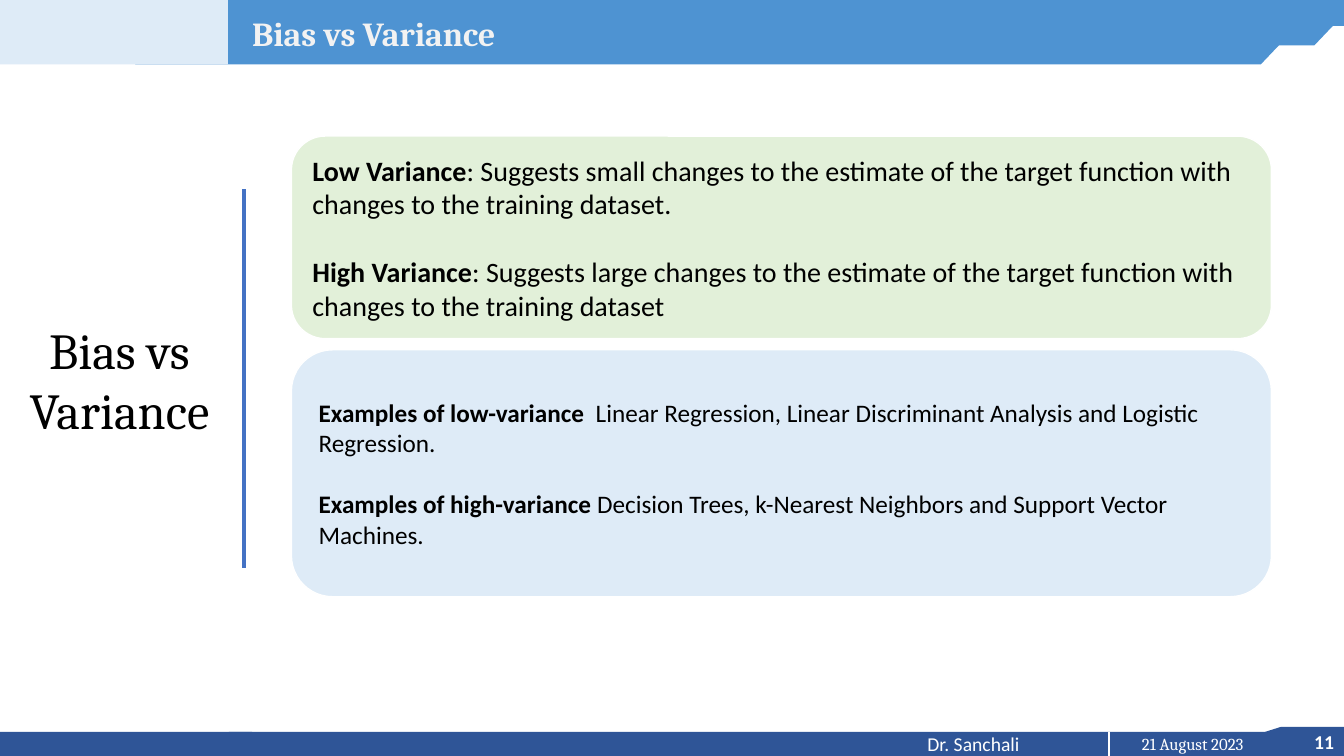
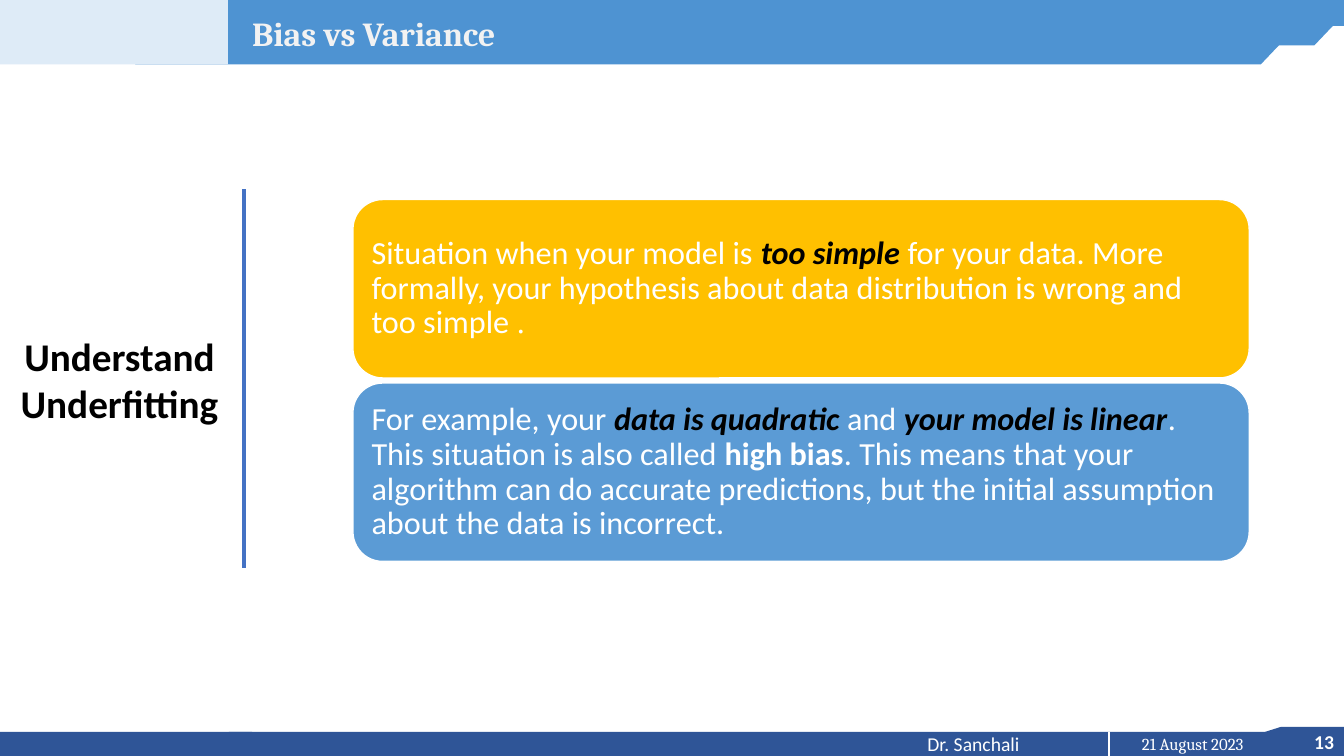
from lxml import etree
from pptx import Presentation
from pptx.dml.color import RGBColor
from pptx.enum.shapes import MSO_CONNECTOR, MSO_SHAPE
from pptx.enum.text import MSO_ANCHOR, MSO_AUTO_SIZE, PP_ALIGN
from pptx.oxml.ns import qn
from pptx.util import Inches, Pt

LEFT, MID, RIGHT = PP_ALIGN.LEFT, PP_ALIGN.CENTER, PP_ALIGN.RIGHT
RECT, ROUND = MSO_SHAPE.RECTANGLE, MSO_SHAPE.ROUNDED_RECTANGLE
SLANT, CARD = MSO_SHAPE.PARALLELOGRAM, MSO_SHAPE.FLOWCHART_CARD
TOP, CENTER = MSO_ANCHOR.TOP, MSO_ANCHOR.MIDDLE
NO_FIT, STRAIGHT = MSO_AUTO_SIZE.NONE, MSO_CONNECTOR.STRAIGHT

W, H = 13.33, 7.5

THEME = {
    "navy": "2F5597", "band": "4E93D2", "pale": "DEEBF7", "rule": "4472C4",
    "green": "E2F0D9", "gold": "FFC000", "blue": "5B9BD5",
    "white": "FFFFFF", "ink": "000000", "title": "F2F2F2",
    "sans": "Calibri", "serif": "Cambria", "dot": "Times New Roman",
    "small": 12, "foot": 14, "head": 24,
}

# Run styles inside cards
PLAIN = {}
BOLD = {"bold": True}
KEY = {"bold": True, "italic": True, "color": "ink"}
DOT = {"name": "dot"}

# Content: cards hold paragraphs, paragraphs hold (text, style) runs
TITLE = "Bias vs Variance"
SLIDES = [
    {
        "num": "11",
        "side": ("Bias vs Variance", {"size": 36, "name": "serif"}),
        "cards": [
            {"at": (2.89, 1.35, 9.72, 2.01), "fill": "green", "pad": (0.11, 0.1),
             "font": {"size": 20, "color": "ink"}, "gap": 24.4, "paras": [
                [("Low Variance", BOLD),
                 (": Suggests small changes to the estimate of the target "
                  "function with changes to the training dataset.", PLAIN)],
                [("High Variance", BOLD),
                 (": Suggests large changes to the estimate of the target "
                  "function with changes to the training dataset", PLAIN)]]},
            {"at": (2.89, 3.47, 9.72, 2.45), "fill": "pale", "pad": (0.15, 0),
             "font": {"size": 18, "color": "ink"}, "gap": 22, "paras": [
                [("Examples of low-variance", BOLD),
                 ("  Linear Regression, Linear Discriminant Analysis and "
                  "Logistic Regression.", PLAIN)],
                [("Examples of high-variance", BOLD),
                 (" Decision Trees, k-Nearest Neighbors and "
                  "Support Vector Machines.", PLAIN)]]},
        ],
    },
    {
        "num": "13",
        "side": ("Understand Underfitting", {"size": 28, "bold": True}),
        "cards": [
            {"at": (3.5, 1.98, 8.89, 1.77), "fill": "gold", "pad": (0.1, 0.09),
             "font": {"size": 23, "color": "white"}, "space": 0.9, "paras": [
                [("Situation when your model is ", PLAIN), ("too simple ", KEY),
                 ("for your data. More formally, your hypothesis about data "
                  "distribution is wrong and too simple ", PLAIN), (".", DOT)]]},
            {"at": (3.5, 3.8, 8.89, 1.77), "fill": "blue", "pad": (0.1, 0.09),
             "font": {"size": 23, "color": "white"}, "space": 0.9, "paras": [
                [("For example, your ", PLAIN), ("data is quadratic ", KEY),
                 ("and ", PLAIN), ("your model is linear", KEY),
                 (". This situation is also called ", PLAIN),
                 ("high bias", BOLD),
                 (". This means that your algorithm can do accurate "
                  "predictions, but the initial assumption about the data "
                  "is incorrect.", PLAIN)]]},
        ],
    },
]

# Shared bands: shape, place, fill, slant
BANDS = [
    (CARD, (12.55, 7.21, 0.79, 0.25), "navy", None),
    (RECT, (-0.01, 7.26, 2.51, 0.26), "navy", None),
    (RECT, (2.27, 7.26, 11.07, 0.24), "navy", None),
    (SLANT, (1.82, -0.01, 11.53, 0.27), "band", 0),
    (SLANT, (1.93, 0.11, 11.43, 0.34), "band", 0.95),
    (SLANT, (1.34, 0.36, 11.43, 0.28), "band", 0.95),
    (RECT, (0, -0.01, 2.26, 0.65), "pale", None),
]
# Rules: x, top, bottom, colour, weight
RULES = [(11, 7.26, 7.51, "white", 1.5), (2.42, 1.88, 5.64, "rule", 2.25)]
# Footer: text, place, alignment, font
FOOT = [
    ("21 August 2023", (11, 7.23, 1.66, 0.3), MID,
     {"size": THEME["small"], "name": "serif", "color": "white"}),
    ("Dr. Sanchali", (9.1, 7.21, 1.3, 0.34), LEFT,
     {"size": THEME["foot"], "color": "white"}),
]
NUM_FONT = {"size": THEME["foot"], "color": "white", "bold": True}
HEAD_FONT = {"size": THEME["head"], "name": "serif", "color": "title",
             "bold": True}


def rgb(name):
    return RGBColor.from_string(THEME[name])


def inch(at):
    return [Inches(v) for v in at]


def add_run(para, text, style):
    look = {"name": "sans", "color": "ink", "bold": False, "italic": False,
            **style}
    run = para.add_run()
    run.text = text
    run.font.color.rgb = rgb(look.pop("color"))
    look["name"] = THEME[look["name"]]
    look["size"] = Pt(look["size"])
    for key, val in look.items():
        setattr(run.font, key, val)


def add_text(slide, text, at, align, style, anchor=TOP):
    frame = slide.shapes.add_textbox(*inch(at)).text_frame
    frame.word_wrap = True
    frame.vertical_anchor = anchor
    para = frame.paragraphs[0]
    para.alignment = align
    add_run(para, text, style)


def add_box(slide, kind, at, fill, edge=None):
    box = slide.shapes.add_shape(kind, *inch(at))
    box.shadow.inherit = False
    box.fill.solid()
    box.fill.fore_color.rgb = rgb(fill)
    if edge:
        box.line.color.rgb = rgb(edge)
        box.line.width = Pt(1)
    else:
        box.line.fill.background()
    return box


def add_rule(slide, x, top, end, color, width):
    rule = slide.shapes.add_connector(STRAIGHT, *inch((x, top, x, end)))
    rule.line.color.rgb = rgb(color)
    rule.line.width = Pt(width)
    etree.SubElement(rule.element.spPr, qn("a:effectLst"))


def add_card(slide, card):
    box = add_box(slide, ROUND, card["at"], card["fill"], "white")
    frame = box.text_frame
    left, right = inch(card["pad"])
    form = {"word_wrap": True, "vertical_anchor": CENTER, "margin_left": left,
            "margin_right": right, "margin_top": 0, "margin_bottom": 0}
    for key, val in form.items():
        setattr(frame, key, val)
    for i, runs in enumerate(card["paras"]):
        para = frame.add_paragraph() if i else frame.paragraphs[0]
        para.alignment = LEFT
        para.line_spacing = card.get("space", 1.0)
        if i:
            para.space_before = Pt(card["gap"])
        for text, style in runs:
            add_run(para, text, {**card["font"], **style})


def set_layout(layout, slide):
    """Draw the shared frame and keep it in the layout, behind its title."""
    head = layout.placeholders[0]
    for spot in list(layout.placeholders)[1:]:
        spot.element.getparent().remove(spot.element)
    for key, val in zip(("left", "top", "width", "height"),
                        inch((2.4, 0.08, 10.52, 0.5))):
        setattr(head, key, val)
    head.text_frame.vertical_anchor = CENTER
    head.text_frame.auto_size = NO_FIT

    for kind, at, fill, slant in BANDS:
        band = add_box(slide, kind, at, fill)
        if slant is not None:
            band.adjustments[0] = slant
    for rule in RULES:
        add_rule(slide, *rule)
    for text, at, align, style in FOOT:
        add_text(slide, text, at, align, style)
    for part in list(slide.shapes):
        if not part.is_placeholder:
            head.element.addprevious(part.element)


def main():
    deck = Presentation()
    deck.slide_width, deck.slide_height = inch((W, H))
    layout = deck.slide_layouts[5]
    for i, data in enumerate(SLIDES):
        slide = deck.slides.add_slide(layout)
        if i == 0:
            set_layout(layout, slide)
        para = slide.shapes.title.text_frame.paragraphs[0]
        para.alignment = LEFT
        add_run(para, TITLE, HEAD_FONT)
        text, style = data["side"]
        add_text(slide, text, (0.1, 0.71, 2.17, 6.11), MID, style, CENTER)
        for card in data["cards"]:
            add_card(slide, card)
        add_text(slide, data["num"], (12.43, 7.19, 0.9, 0.34), RIGHT, NUM_FONT)
    deck.save("out.pptx")


if __name__ == "__main__":
    main()
